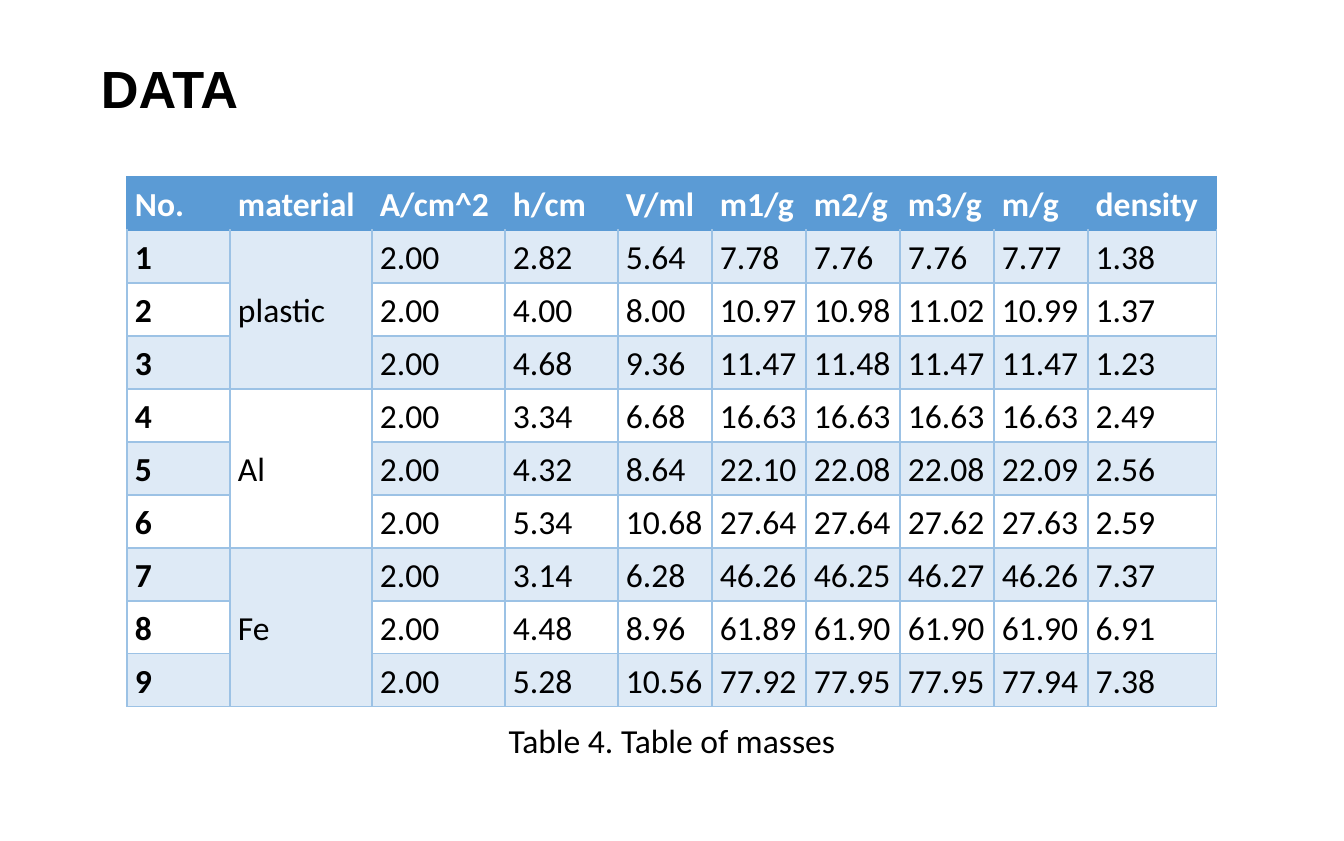
from lxml import etree
from pptx import Presentation
from pptx.dml.color import RGBColor
from pptx.enum import text
from pptx.oxml.ns import qn
from pptx.util import Pt

TITLE = "DATA"
CAPTION = "Table 4. Table of masses"
HEADER = ["No.", "material", "A/cm^2", "h/cm", "V/ml", "m1/g", "m2/g", "m3/g", "m/g", "density"]
GROUPS = [
    ("plastic", [
        ["2.00", "2.82", "5.64", "7.78", "7.76", "7.76", "7.77", "1.38"],
        ["2.00", "4.00", "8.00", "10.97", "10.98", "11.02", "10.99", "1.37"],
        ["2.00", "4.68", "9.36", "11.47", "11.48", "11.47", "11.47", "1.23"],
    ]),
    ("Al", [
        ["2.00", "3.34", "6.68", "16.63", "16.63", "16.63", "16.63", "2.49"],
        ["2.00", "4.32", "8.64", "22.10", "22.08", "22.08", "22.09", "2.56"],
        ["2.00", "5.34", "10.68", "27.64", "27.64", "27.62", "27.63", "2.59"],
    ]),
    ("Fe", [
        ["2.00", "3.14", "6.28", "46.26", "46.25", "46.27", "46.26", "7.37"],
        ["2.00", "4.48", "8.96", "61.89", "61.90", "61.90", "61.90", "6.91"],
        ["2.00", "5.28", "10.56", "77.92", "77.95", "77.95", "77.94", "7.38"],
    ]),
]
COLUMNS = [103, 142, 133, 113, 94, 94, 94, 94, 94, 129]
ROW = 53
BLUE, BAND, GRID, WHITE, BLACK = "5B9BD5", "DEEAF6", "9CC2E5", "FFFFFF", "000000"


def px(n):
    return round(n * 914400 / 134.4)


def color(value):
    return RGBColor.from_string(value)


def format_runs(p, size, font, value, bold):
    for r in p.runs:
        r.font.size, r.font.name, r.font.bold = Pt(size), font, bold
        r.font.color.rgb = color(value)


def body_text(p, value, bold):
    p.line_spacing, p.space_after = 1.07, Pt(8)
    format_runs(p, 18, "Calibri", value, bold)


def add_text(box, content):
    tf = slide.shapes.add_textbox(*map(px, box)).text_frame
    tf.word_wrap = True
    tf.auto_size = text.MSO_AUTO_SIZE.SHAPE_TO_FIT_TEXT
    tf.text = content
    return tf


def set_borders(cell, edges):
    tcPr = cell._tc.get_or_add_tcPr()
    for i, (side, value) in enumerate(edges):
        ln = etree.Element(qn(f"a:ln{side}"), w=str(Pt(1)))
        if value:
            fill = etree.SubElement(ln, qn("a:solidFill"))
            etree.SubElement(fill, qn("a:srgbClr"), val=value)
        else:
            etree.SubElement(ln, qn("a:noFill"))
        tcPr.insert(i, ln)


def style_cell(cell, row, col):
    head, last = row == 0, len(COLUMNS) - 1
    cell.margin_left = cell.margin_right = px(8)
    cell.margin_top = cell.margin_bottom = 0
    cell.vertical_anchor = text.MSO_ANCHOR.MIDDLE
    if head or row % 2:
        cell.fill.solid()
        cell.fill.fore_color.rgb = color(BLUE if head else BAND)
    else:
        cell.fill.background()
    body_text(cell.text_frame.paragraphs[0], WHITE if head else BLACK, head or col == 0)
    if head:
        left, right = BLUE if col == 0 else None, BLUE if col == last else None
    else:
        left = right = GRID
    set_borders(cell, [("L", left), ("R", right),
                       ("T", BLUE if row < 2 else GRID), ("B", BLUE if head else GRID)])


prs = Presentation()
prs.slide_width, prs.slide_height = px(1344), px(841)
slide = prs.slides.add_slide(prs.slide_layouts[6])

tf = add_text((101, 44, 741, 69), TITLE)
tf.margin_left = tf.margin_right = tf.margin_top = tf.margin_bottom = 0
p = tf.paragraphs[0]
p.alignment, p.line_spacing = text.PP_ALIGN.JUSTIFY, 1.2
format_runs(p, 28, "Arial", BLACK, True)

rows = [HEADER]
for material, samples in GROUPS:
    for i, values in enumerate(samples):
        rows.append([str(len(rows)), "" if i else material] + values)

table = slide.shapes.add_table(len(rows), len(COLUMNS), px(127), px(177),
                               px(sum(COLUMNS)), px(ROW * len(rows))).table
for column, width in zip(table.columns, COLUMNS):
    column.width = px(width)
for r, values in enumerate(rows):
    table.rows[r].height = px(ROW)
    for c, value in enumerate(values):
        cell = table.cell(r, c)
        cell.text_frame.text = value
        style_cell(cell, r, c)

top = 1
for material, samples in GROUPS:
    bottom = top + len(samples) - 1
    table.cell(top, 1).merge(table.cell(bottom, 1))
    top = bottom + 1

p = add_text((336, 710, 672, 55), CAPTION).paragraphs[0]
p.alignment = text.PP_ALIGN.CENTER
body_text(p, BLACK, False)

prs.save("out.pptx")
